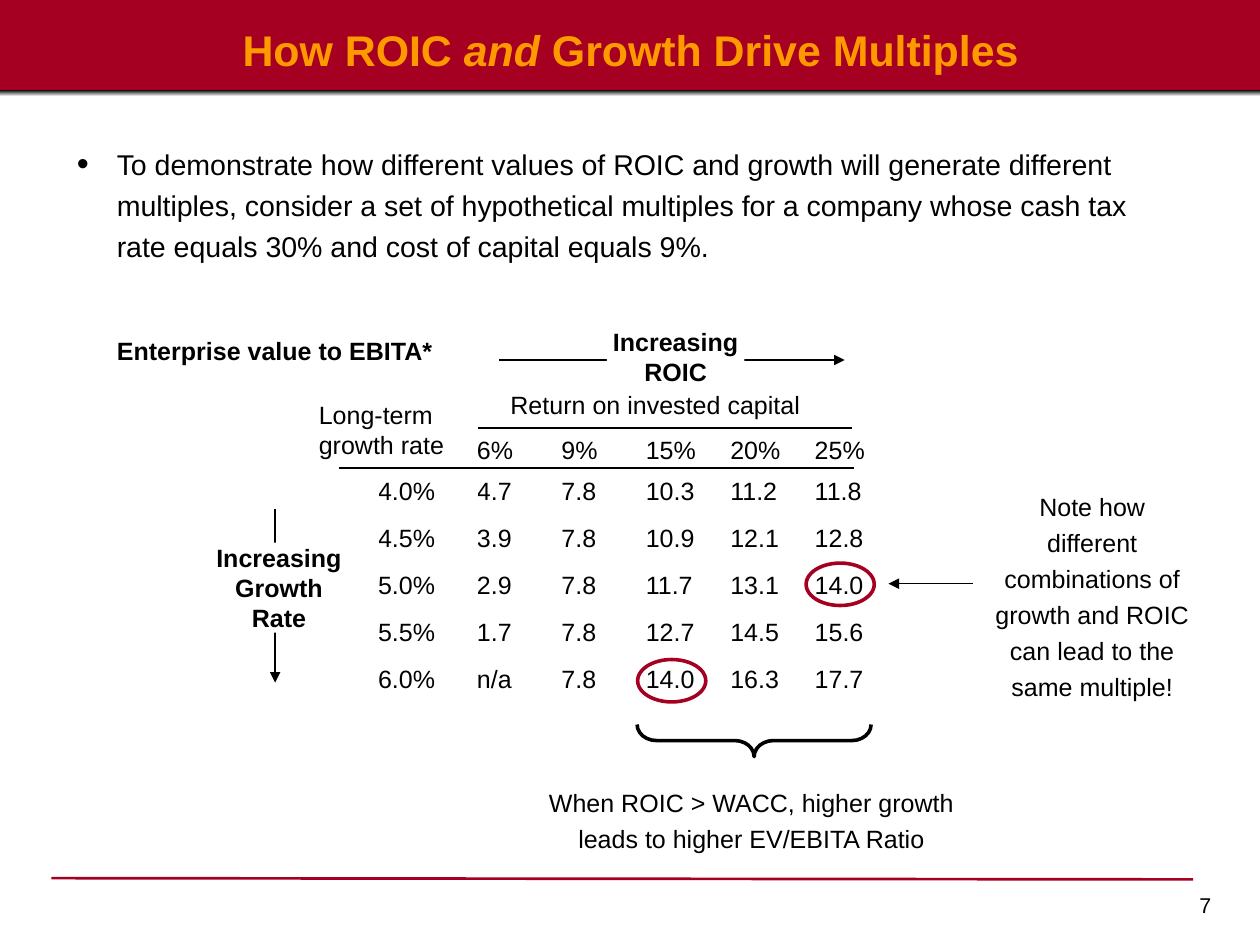
from lxml import etree
from pptx import Presentation
from pptx import util as u
from pptx.dml import color
from pptx.enum import shapes, text
from pptx.oxml import ns

COLORS = {"red": "A50021", "orange": "FF9900", "black": "000000", "white": "FFFFFF"}
RGB = {name: color.RGBColor.from_string(value) for name, value in COLORS.items()}
LEFT, CENTER, RIGHT = text.PP_ALIGN.LEFT, text.PP_ALIGN.CENTER, text.PP_ALIGN.RIGHT

deck = Presentation()
deck.slide_width, deck.slide_height = u.Inches(9.8), u.Inches(7.35)
page = deck.slides.add_slide(deck.slide_layouts[5])


def grid(*lengths):
    """Turn grid steps into lengths; the slide is 98 steps wide and 73.5 high."""
    return [round(deck.slide_width * length / 98) for length in lengths]


def write(frame, paragraphs, size=14, align=LEFT, bold=False, margins=(0, 0), ink="black"):
    """Fill a text frame; each paragraph is a list of (wording, italic) runs."""
    frame.word_wrap = True
    frame.margin_left, frame.margin_top = frame.margin_right, frame.margin_bottom = grid(*margins)
    for index, runs in enumerate(paragraphs):
        para = frame.paragraphs[0] if index == 0 else frame.add_paragraph()
        para.alignment = align
        for wording, italic in runs:
            span = para.add_run()
            span.text = wording
            span.font.name, span.font.size = "Arial", u.Pt(size)
            span.font.bold, span.font.italic = bold, italic
            span.font.color.rgb = RGB[ink]


# Header band with its shaded lower edge
band = page.shapes.add_shape(shapes.MSO_SHAPE.RECTANGLE, *grid(0, 0, 98, 7.1))
band.fill.solid()
band.fill.fore_color.rgb = RGB["red"]
edge = page.shapes.add_shape(shapes.MSO_SHAPE.RECTANGLE, *grid(0, 7, 98, 0.5))
edge.fill.gradient()
edge.fill.gradient_angle = 270
for stop, name in zip(edge.fill.gradient_stops, ("black", "white")):
    stop.color.rgb = RGB[name]
for bar in (band, edge):
    bar.line.fill.background()
    bar.shadow.inherit = False

title = page.shapes.title
title.left, title.top, title.width, title.height = grid(1.9, 1.8, 94.3, 4)
title.text_frame.vertical_anchor = text.MSO_ANCHOR.MIDDLE
write(title.text_frame,
      [[("How ROIC ", False), ("and", True), (" Growth Drive Multiples", False)]],
      size=24, align=CENTER, bold=True, ink="orange")
title.element.getparent().append(title.element)  # bring in front of the band

# Multiples by growth rate (rows) and ROIC (columns)
multiples = [
    ["", "6%", "9%", "15%", "20%", "25%"],
    ["4.0%", "4.7", "7.8", "10.3", "11.2", "11.8"],
    ["4.5%", "3.9", "7.8", "10.9", "12.1", "12.8"],
    ["5.0%", "2.9", "7.8", "11.7", "13.1", "14.0"],
    ["5.5%", "1.7", "7.8", "12.7", "14.5", "15.6"],
    ["6.0%", "n/a", "7.8", "14.0", "16.3", "17.7"],
]
TABLE_LEFT, TABLE_TOP = 29.4, 34
HEAD_HEIGHT, ROW_HEIGHT = 3.2, 3.65
RATE_WIDTH, COL_WIDTH = 7.7, 6.57
table = page.shapes.add_table(
    6, 6, *grid(TABLE_LEFT, TABLE_TOP, RATE_WIDTH + 5 * COL_WIDTH,
                HEAD_HEIGHT + 5 * ROW_HEIGHT)).table
table.first_row = table.horz_banding = False
for index in range(6):
    table.columns[index].width, table.rows[index].height = grid(
        COL_WIDTH if index else RATE_WIDTH, ROW_HEIGHT if index else HEAD_HEIGHT)
for row, values in enumerate(multiples):
    for col, value in enumerate(values):
        cell = table.cell(row, col)
        cell.fill.background()
        cell.margin_left = cell.margin_right = cell.margin_top = cell.margin_bottom = 0
        if value:
            write(cell.text_frame, [[(value, False)]])

# Rules and arrows: start, end, ink, width in points, arrowhead
lines = [
    ((4, 68.3), (92.8, 68.4), "red", 1.5, False),
    ((26.4, 36.4), (66.4, 36.4), "black", 0.75, False),
    ((37.2, 33.3), (66.3, 33.3), "black", 0.75, False),
    ((21.4, 39.6), (21.4, 53.1), "black", 0.75, True),
    ((38.8, 28), (65.7, 28), "black", 0.75, True),
    ((75.7, 45.4), (69.1, 45.4), "black", 0.75, True),
]
for start, end, ink, width, arrow in lines:
    line = page.shapes.add_connector(shapes.MSO_CONNECTOR.STRAIGHT, *grid(*start, *end))
    line.line.color.rgb = RGB[ink]
    line.line.width = u.Pt(width)
    if arrow:
        etree.SubElement(line.line._get_or_add_ln(), ns.qn("a:tailEnd"), type="triangle")
    etree.SubElement(line.element.spPr, ns.qn("a:effectLst"))

# Labels: place, paragraphs, alignment, bold, margins, line spacing, white backing
labels = [
    ((9.1, 26.1, 25, 2.3), ["Enterprise value to EBITA*"], LEFT, True, (0, 0), 1, False),
    ((39.7, 30.3, 25.8, 2.3), ["Return on invested capital"], LEFT, False, (0, 0), 1, False),
    ((24.8, 31.1, 10.7, 4.7), ["Long-term growth rate"], LEFT, False, (0, 0), 1, False),
    ((16, 42.2, 11.4, 7), ["Increasing Growth Rate"], CENTER, True, (0, 0), 1, True),
    ((47.2, 25.4, 10.7, 4.7), ["Increasing", "ROIC"], CENTER, True, (0, 0), 1, True),
    ((77.2, 37.3, 15.5, 17.8),
     ["Note how different combinations of growth and ROIC can lead to the same multiple!"],
     CENTER, False, (0, 0.5), 1.2, False),
    ((40.5, 60.3, 35.9, 6.6),
     ["When ROIC > WACC, higher growth leads to higher EV/EBITA Ratio"],
     CENTER, False, (1, 0.5), 1.2, False),
]
for place, wordings, align, bold, margins, spacing, backed in labels:
    box = page.shapes.add_textbox(*grid(*place))
    write(box.text_frame, [[(wording, False)] for wording in wordings],
          align=align, bold=bold, margins=margins)
    for para in box.text_frame.paragraphs:
        para.line_spacing = spacing
    if backed:
        box.fill.solid()
        box.fill.fore_color.rgb = RGB["white"]

# Rings around the two equal multiples, and the brace under the high-ROIC columns
rings = [(shapes.MSO_SHAPE.OVAL, place, "red")
         for place in ((62.7, 43.8, 5.3, 3.3), (49.6, 51.3, 5.3, 3.3))]
for preset, place, ink in rings + [
        (shapes.MSO_SHAPE.RIGHT_BRACE, (57.4, 48.5, 2.5, 18.2), "black")]:
    mark = page.shapes.add_shape(preset, *grid(*place))
    mark.fill.background()
    mark.line.color.rgb = RGB[ink]
    mark.line.width = u.Pt(2)
    mark.shadow.inherit = False
    if preset == shapes.MSO_SHAPE.RIGHT_BRACE:
        mark.rotation = 90
        mark.adjustments[0] = 0.6

# Introductory bullet
intro = page.shapes.add_textbox(*grid(5, 10.4, 87.1, 10.6))
write(intro.text_frame, [[(
    "To demonstrate how different values of ROIC and growth will generate different "
    "multiples, consider a set of hypothetical multiples for a company whose cash tax "
    "rate equals 30% and cost of capital equals 9%.", False)]], size=16, margins=(1, 0.5))
para = intro.text_frame.paragraphs[0]
para.line_spacing, para.space_before = 1.2, u.Pt(10)
props = para._p.get_or_add_pPr()
indent = grid(3.1)[0]
props.set("marL", str(indent))
props.set("indent", str(-indent))
bullet_color = etree.SubElement(props, ns.qn("a:buClr"))
etree.SubElement(bullet_color, ns.qn("a:srgbClr"), val=COLORS["black"])
etree.SubElement(props, ns.qn("a:buSzPct"), val="120000")
etree.SubElement(props, ns.qn("a:buFont"), typeface="Arial")
etree.SubElement(props, ns.qn("a:buChar"), char="•")

number = page.shapes.add_textbox(*grid(71.9, 68.9, 23.3, 2.8))
write(number.text_frame, [[("7", False)]], size=12, align=RIGHT, margins=(1, 0.5))

deck.save("out.pptx")
